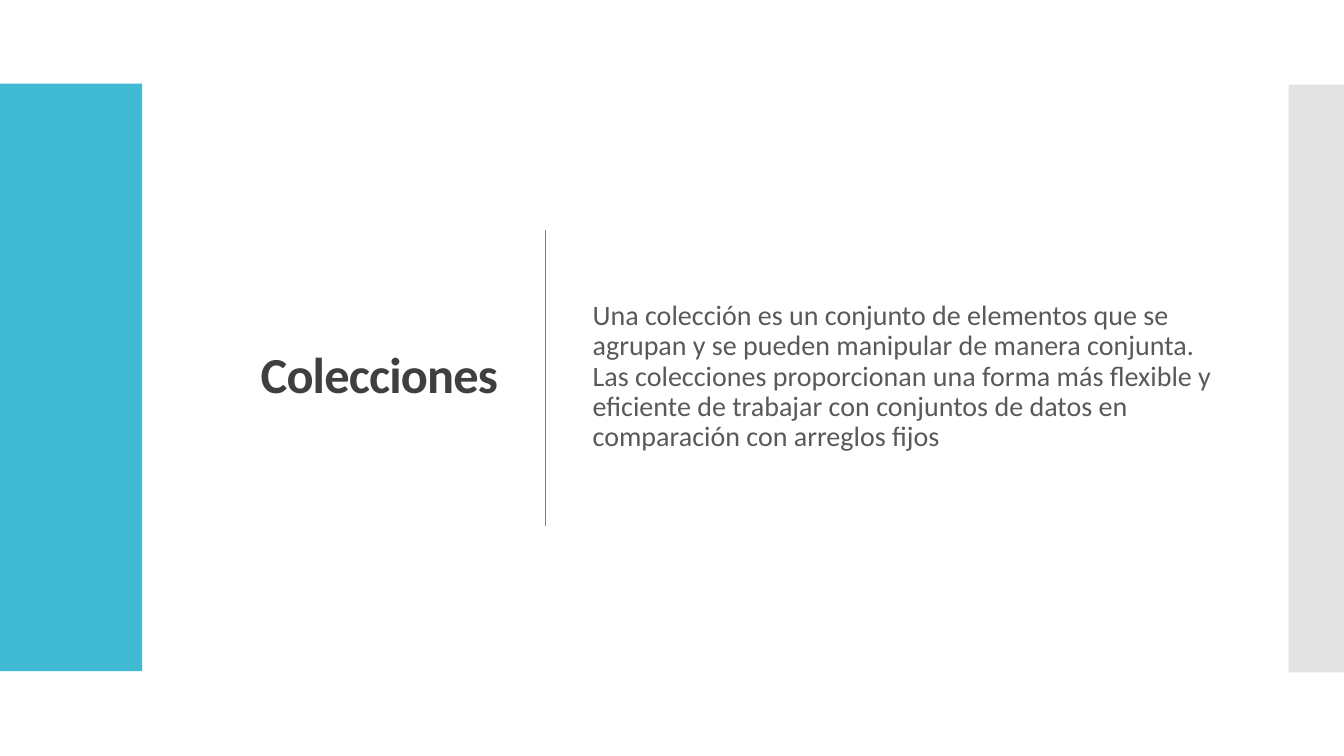
from dataclasses import dataclass

from lxml import etree
from pptx import Presentation
from pptx import util as u
from pptx.dml.color import RGBColor
from pptx.enum import shapes, text
from pptx.oxml.ns import qn

SLIDE_WIDTH, SLIDE_HEIGHT = 13.33, 7.5
FONT = "Calibri"
DEFINITION = (
    "Una colección es un conjunto de elementos que se agrupan y se pueden "
    "manipular de manera conjunta. Las colecciones proporcionan una forma más "
    "flexible y eficiente de trabajar con conjuntos de datos en comparación "
    "con arreglos fijos"
)


@dataclass
class Band:
    left: float
    top: float
    width: float
    height: float
    color: str
    opacity: int = 100


BANDS = [
    Band(0, 0.83, 1.41, 5.83, "40BAD2"),
    Band(12.78, 0.84, 0.55, 5.83, "C8C8C8", opacity=50),
]


def rgb(color: str) -> RGBColor:
    return RGBColor.from_string(color)


def place(shape, left: float, top: float, width: float, height: float) -> None:
    shape.left, shape.top = u.Inches(left), u.Inches(top)
    shape.width, shape.height = u.Inches(width), u.Inches(height)


def write(shape, words: str, *, size: float, color: str, bold: bool = False,
          align=text.PP_ALIGN.LEFT, before: float = 0, tracking: float = 0) -> None:
    frame = shape.text_frame
    frame.word_wrap = True
    frame.auto_size = text.MSO_AUTO_SIZE.NONE
    frame.vertical_anchor = text.MSO_ANCHOR.MIDDLE
    paragraph = frame.paragraphs[0]
    paragraph.alignment = align
    paragraph.line_spacing = 0.9
    paragraph.space_before = u.Pt(before)
    run = paragraph.add_run()
    run.text = words
    run.font.name, run.font.size, run.font.bold = FONT, u.Pt(size), bold
    run.font.color.rgb = rgb(color)
    if tracking:
        run.font._element.set("spc", str(round(tracking * 100)))


def draw_band(slide, band: Band) -> None:
    shape = slide.shapes.add_shape(
        shapes.MSO_SHAPE.RECTANGLE, u.Inches(band.left), u.Inches(band.top),
        u.Inches(band.width), u.Inches(band.height))
    shape.shadow.inherit = False
    shape.fill.solid()
    shape.fill.fore_color.rgb = rgb(band.color)
    shape.line.fill.background()
    if band.opacity < 100:
        fill_color = shape._element.spPr.find(f"{qn('a:solidFill')}/{qn('a:srgbClr')}")
        etree.SubElement(fill_color, qn("a:alpha"), val=str(band.opacity * 1000))


def draw_divider(slide, x: float, top: float, bottom: float) -> None:
    divider = slide.shapes.add_connector(
        shapes.MSO_CONNECTOR.STRAIGHT, u.Inches(x), u.Inches(top),
        u.Inches(x), u.Inches(bottom))
    divider.line.color.rgb = rgb("808080")
    divider.line.width = u.Pt(1)
    etree.SubElement(divider._element.spPr, qn("a:effectLst"))


def main() -> None:
    deck = Presentation()
    deck.slide_width, deck.slide_height = u.Inches(SLIDE_WIDTH), u.Inches(SLIDE_HEIGHT)
    slide = deck.slides.add_slide(deck.slide_layouts.get_by_name("Title Only"))

    # Title
    title = slide.shapes.title
    place(title, 1.68, 0.94, 3.36, 5.6)
    write(title, "Colecciones", size=36, color="3F3F3F", bold=True,
          align=text.PP_ALIGN.RIGHT, tracking=-0.6)

    # Side bands and divider
    for band in BANDS:
        draw_band(slide, band)
    draw_divider(slide, 5.41, 2.28, 5.22)

    # Definition
    definition = slide.shapes.add_textbox(
        u.Inches(5.78), u.Inches(0.94), u.Inches(6.46), u.Inches(5.6))
    write(definition, DEFINITION, size=20, color="595959", before=12)

    deck.save("out.pptx")


if __name__ == "__main__":
    main()
